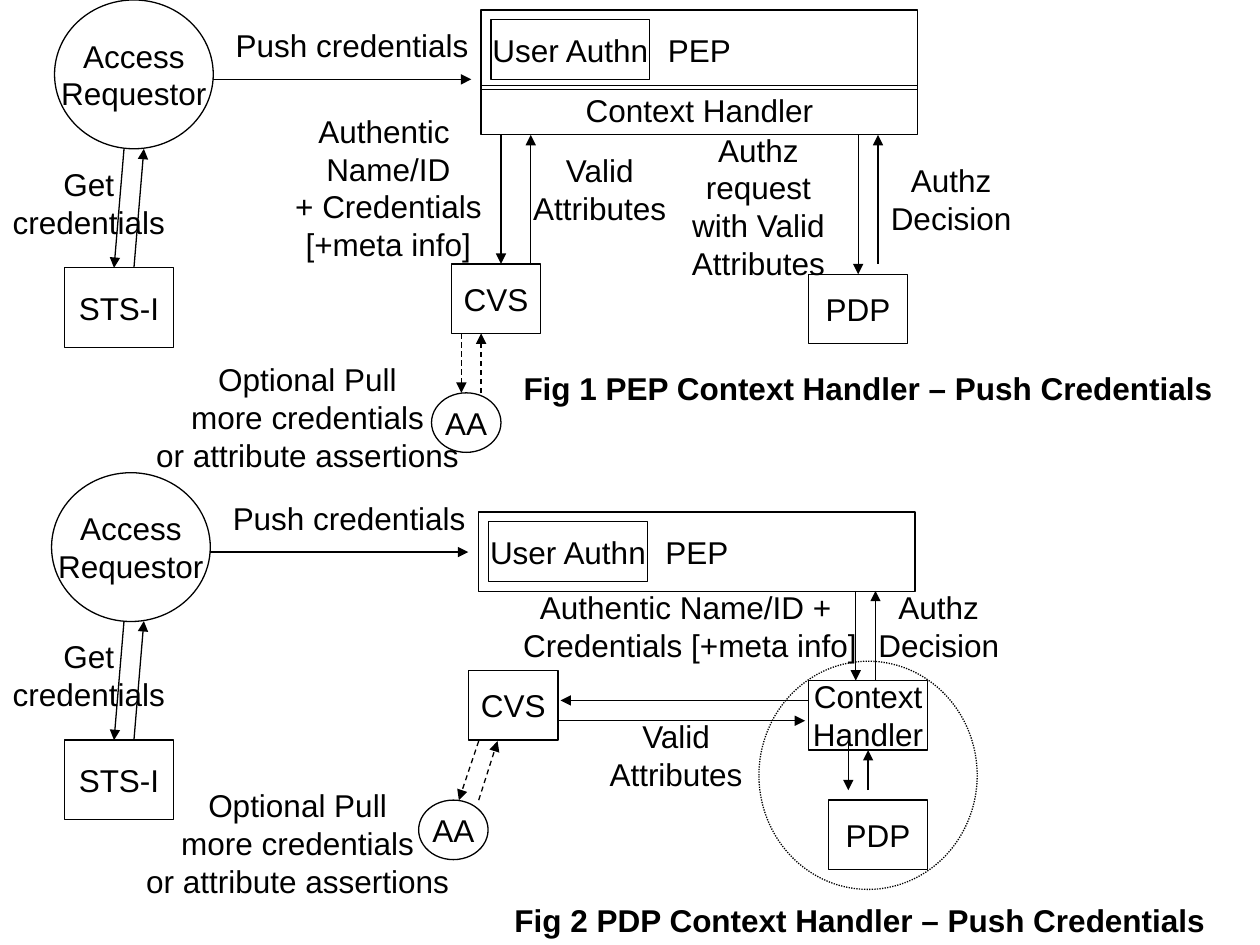
from lxml import etree
from pptx import Presentation
from pptx.dml.color import RGBColor
from pptx.enum.dml import MSO_LINE
from pptx.enum.shapes import MSO_CONNECTOR, MSO_SHAPE
from pptx.enum.text import MSO_ANCHOR, MSO_AUTO_SIZE, PP_ALIGN
from pptx.oxml.ns import qn
from pptx.util import Cm, Pt

RECTANGLE, OVAL = MSO_SHAPE.RECTANGLE, MSO_SHAPE.OVAL
STRAIGHT = MSO_CONNECTOR.STRAIGHT
DASH, DOT = MSO_LINE.DASH, MSO_LINE.ROUND_DOT
CENTER, MIDDLE, TOP = PP_ALIGN.CENTER, MSO_ANCHOR.MIDDLE, MSO_ANCHOR.TOP
GROW = MSO_AUTO_SIZE.SHAPE_TO_FIT_TEXT
BLACK = "000000"
FONT = {"name": "Arial", "size": Pt(18)}
LINE = {"width": Pt(0.75)}
LABEL_FRAME = {
    "vertical_anchor": TOP,
    "auto_size": GROW,
    "margin_left": Cm(0.15),
    "margin_right": Cm(0.15),
}

REQUESTOR = {
    "shapes": [(OVAL, ["Access", "Requestor"], 1.1, 0, 3.2, 3)],
    "arrows": [(4.3, 1.6, 9.5, 1.6)],
    "labels": [(["Push credentials"], 4.5, 0.4, 5.2, 1.02)],
}
TOKEN_SERVICE = {
    "shapes": [(RECTANGLE, ["STS-I"], 1.3, 5.4, 2.2, 1.6)],
    "arrows": [(2.5, 3, 2.3, 5.4), (2.7, 5.4, 2.9, 3)],
    "labels": [(["Get", "credentials"], 0, 3.2, 3.58, 1.78)],
}
ENFORCEMENT_POINT = {
    "shapes": [
        (RECTANGLE, ["PEP"], 9.7, 0.2, 8.8, 1.6),
        (RECTANGLE, ["User Authn"], 9.9, 0.4, 3.2, 1.2),
    ],
}
PULL = {
    "labels": [(["Optional Pull", "more credentials", "or attribute assertions"],
                2.9, 7.14, 6.6, 2.54)],
}
VALID = {"labels": [(["Valid", "Attributes"], 10.5, 2.92, 3.18, 1.78)]}
DECISION = {"labels": [(["Authz", "Decision"], 17.7, 3.12, 2.95, 1.78)]}
CVS = {"shapes": [(RECTANGLE, ["CVS"], 9.1, 5.32, 1.8, 1.4)]}
PDP = {"shapes": [(RECTANGLE, ["PDP"], 16.3, 5.53, 2, 1.4)]}
AUTHORITY = {"shapes": [(OVAL, ["AA"], 8.7, 7.92, 1.4, 1.2)]}

FIGURE_1 = {
    "shapes": [(RECTANGLE, ["Context Handler"], 9.7, 1.72, 8.8, 1)],
    "arrows": [
        (10.1, 2.72, 10.1, 5.32), (10.7, 5.32, 10.7, 2.72),
        (17.3, 2.72, 17.3, 5.53), (17.7, 5.32, 17.7, 2.72),
    ],
    "dashed": [(9.3, 6.72, 9.3, 7.92), (9.7, 7.92, 9.7, 6.72)],
    "wrapped": [
        (["Authentic ", "Name/ID", "+ Credentials", "[+meta info]"], 5.7, 2.13, 4.26, 4.83),
        (["Authz request with Valid", "Attributes"], 13.49, 2.51, 3.6, 3.3),
    ],
    "captions": [(["Fig 1 PEP Context Handler – Push Credentials"], 10.3, 7.32, 14.4, 1.02)],
}
FIGURE_2 = {
    "shapes": [(RECTANGLE, ["Context", "Handler"], 16.3, 13.72, 2.4, 1.4)],
    "dotted": [(OVAL, [], 15.3, 13.33, 4.4, 4.6)],
    "arrows": [
        (17.25, 11.91, 17.25, 13.72), (17.65, 13.72, 17.65, 11.91),
        (16.3, 14.12, 11.3, 14.12), (11.25, 14.53, 16.23, 14.53),
        (17.1, 14.94, 17.1, 15.93), (17.5, 15.93, 17.5, 15.12),
    ],
    "dashed": [(9.65, 14.94, 9.25, 16.13), (9.65, 16.13, 10.03, 14.94)],
    "labels": [(["Authentic Name/ID + ", "Credentials [+meta info]"], 10.3, 11.73, 7.22, 1.78)],
    "captions": [(["Fig 2 PDP Context Handler – Push Credentials"], 10.11, 18.03, 14.45, 1.02)],
}
PLACEMENTS = [
    (FIGURE_1, [(0, 0)]),
    (FIGURE_2, [(0, 0)]),
    (REQUESTOR, [(0, 0), (-0.06, 9.53)]),
    (TOKEN_SERVICE, [(0, 0), (0, 9.52)]),
    (ENFORCEMENT_POINT, [(0, 0), (-0.05, 10.12)]),
    (PULL, [(0, 0), (-0.2, 8.58)]),
    (VALID, [(0, 0), (1.54, 11.41)]),
    (DECISION, [(0, 0), (-0.25, 8.61)]),
    (CVS, [(0, 0), (0.35, 8.2)]),
    (PDP, [(0, 0), (0.4, 10.6)]),
    (AUTHORITY, [(0, 0), (-0.26, 8.21)]),
]


def set_values(target, values):
    for name, value in values.items():
        setattr(target, name, value)


def color(hex_value):
    return RGBColor.from_string(hex_value)


def style_line(line, dash=None):
    set_values(line, LINE)
    line.color.rgb = color(BLACK)
    if dash:
        line.dash_style = dash


def write(shape, lines, bold=False, **frame_format):
    frame = shape.text_frame
    set_values(frame, frame_format)
    frame.text = "\n".join(lines)
    for paragraph in frame.paragraphs:
        paragraph.alignment = CENTER
        set_values(paragraph.font, {**FONT, "bold": bold})
        paragraph.font.color.rgb = color(BLACK)


def add_box(slide, kind, lines, left, top, width, height, dash=None):
    shape = slide.shapes.add_shape(kind, Cm(left), Cm(top), Cm(width), Cm(height))
    shape.shadow.inherit = False
    shape.fill.background()
    style_line(shape.line, dash)
    if lines:
        write(shape, lines, word_wrap=False, vertical_anchor=MIDDLE)


def add_label(slide, lines, left, top, width, height, bold=False, wrap=False):
    label = slide.shapes.add_textbox(Cm(left), Cm(top), Cm(width), Cm(height))
    write(label, lines, bold, word_wrap=wrap, **LABEL_FRAME)


def add_arrow(slide, start_x, start_y, end_x, end_y, dash=None):
    arrow = slide.shapes.add_connector(STRAIGHT, Cm(start_x), Cm(start_y), Cm(end_x), Cm(end_y))
    style_line(arrow.line, dash)
    etree.SubElement(arrow.line._get_or_add_ln(), qn("a:tailEnd"), type="triangle")
    etree.SubElement(arrow._element.spPr, qn("a:effectLst"))


def add_part(slide, part, shift_x, shift_y):
    for kind in ("shapes", "dotted"):
        for outline, lines, left, top, width, height in part.get(kind, []):
            add_box(slide, outline, lines, left + shift_x, top + shift_y, width, height,
                    DOT if kind == "dotted" else None)
    for kind in ("arrows", "dashed"):
        for start_x, start_y, end_x, end_y in part.get(kind, []):
            add_arrow(slide, start_x + shift_x, start_y + shift_y, end_x + shift_x,
                      end_y + shift_y, DASH if kind == "dashed" else None)
    for kind in ("labels", "wrapped", "captions"):
        for lines, left, top, width, height in part.get(kind, []):
            add_label(slide, lines, left + shift_x, top + shift_y, width, height,
                      kind == "captions", kind == "wrapped")


def main():
    presentation = Presentation()
    set_values(presentation, {"slide_width": Cm(25.4), "slide_height": Cm(19.05)})
    slide = presentation.slides.add_slide(presentation.slide_layouts[6])
    for part, shifts in PLACEMENTS:
        for shift_x, shift_y in shifts:
            add_part(slide, part, shift_x, shift_y)
    presentation.save("out.pptx")


if __name__ == "__main__":
    main()
